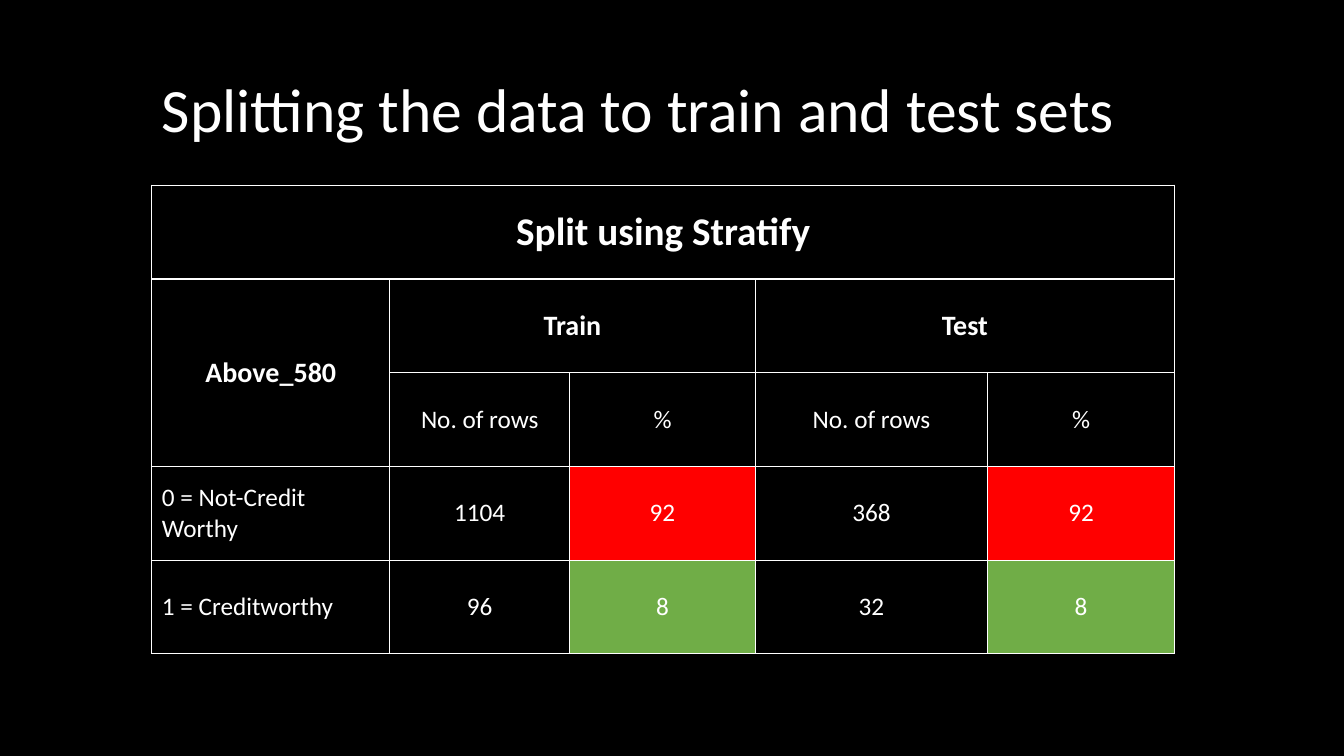
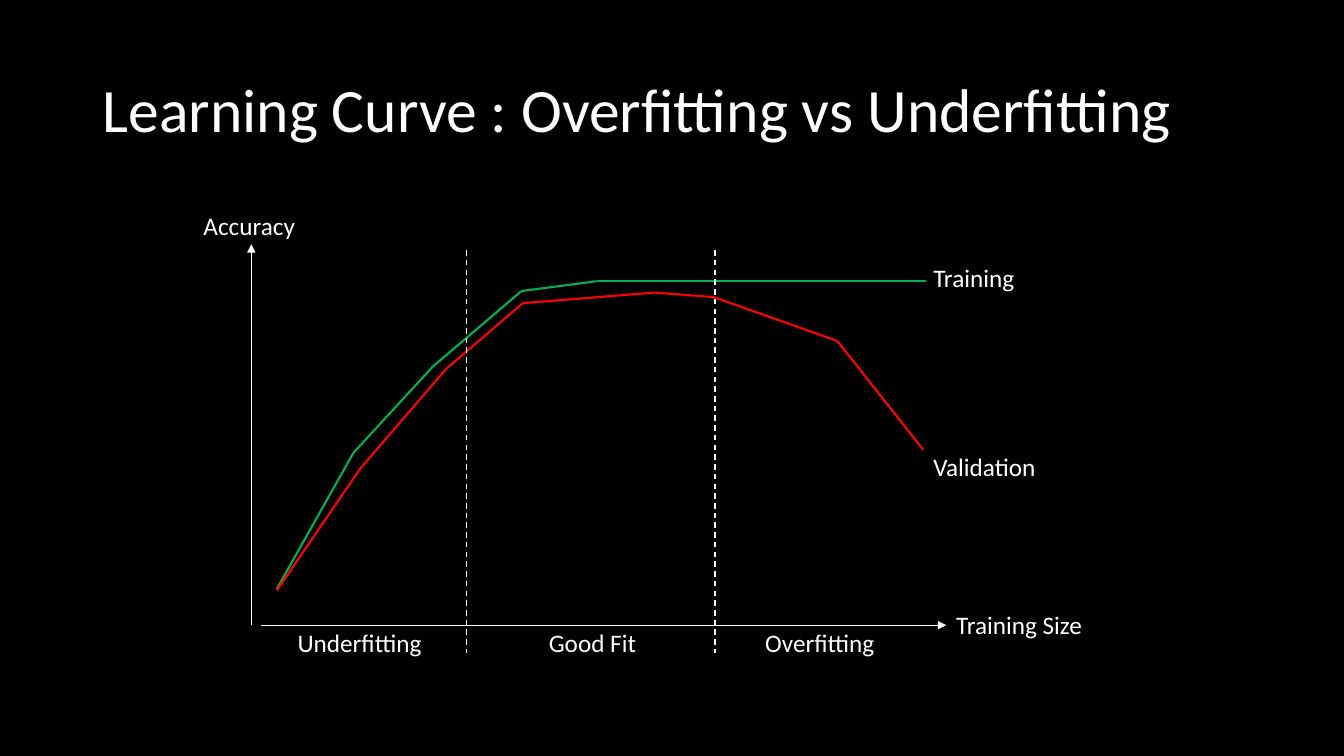
from dataclasses import dataclass
from itertools import pairwise

from lxml.etree import SubElement
from pptx import Presentation
from pptx.dml.color import RGBColor as RGB
from pptx.enum.dml import MSO_LINE
from pptx.enum.shapes import MSO_CONNECTOR
from pptx.enum.text import MSO_ANCHOR as ANCHOR, MSO_AUTO_SIZE as FIT, PP_ALIGN as ALIGN
from pptx.oxml.ns import qn
from pptx.util import Inches, Pt


@dataclass(frozen=True)
class Theme:
    font: str = "Calibri"
    back: RGB = RGB(0, 0, 0)
    ink: RGB = RGB(255, 255, 255)
    red: RGB = RGB(255, 0, 0)
    leaf: RGB = RGB(0x70, 0xAD, 0x47)
    green: RGB = RGB(0, 0xB0, 0x50)
    title: int = 44
    banner: int = 28
    group: int = 20
    body: int = 18
    thin: float = 1
    curve: float = 1.5


T = Theme()
prs = Presentation()
prs.slide_width, prs.slide_height = Inches(13.33), Inches(7.5)
COL, ROW = prs.slide_width / 100, prs.slide_height / 100

fill = prs.slide_master.background.fill
fill.solid()
fill.fore_color.rgb = T.back


def style(p, size, bold=False, align=ALIGN.LEFT):
    p.alignment = align
    p.font.name, p.font.size, p.font.bold = T.font, Pt(size), bold
    p.font.color.rgb = T.ink


def draw_line(start, end, color, width, dash=None, arrow=False):
    (x1, y1), (x2, y2) = start, end
    line = s.shapes.add_connector(MSO_CONNECTOR.STRAIGHT, int(x1 * COL), int(y1 * ROW),
                                  int(x2 * COL), int(y2 * ROW))
    line.line.color.rgb, line.line.width = color, Pt(width)
    if dash:
        line.line.dash_style = dash
    if arrow:
        SubElement(line.line._get_or_add_ln(), qn("a:tailEnd"), type="triangle")
    SubElement(line._element.spPr, qn("a:effectLst"))


slides = []
for text, left, top, width in [
    ("Splitting the data to train and test sets", 11.3, 5.2, 80.9),
    ("Learning Curve : Overfitting vs Underfitting", 6.9, 5.3, 86.3),
]:
    s = prs.slides.add_slide(prs.slide_layouts[5])
    title = s.shapes.title
    title.left, title.top = int(left * COL), int(top * ROW)
    title.width, title.height = int(width * COL), int(19.3 * ROW)
    tf = title.text_frame
    tf.text, tf.vertical_anchor = text, ANCHOR.MIDDLE
    tf.paragraphs[0].line_spacing = 0.9
    style(tf.paragraphs[0], T.title)
    slides.append(s)

s = slides[0]
rows = [
    ["Split using Stratify", "", "", "", ""],
    ["Above_580", "Train", "", "Test", ""],
    ["", "No. of rows", "%", "No. of rows", "%"],
    ["0 = Not-Credit Worthy", "1104", "92", "368", "92"],
    ["1 = Creditworthy", "96", "8", "32", "8"],
]
col_widths = [17.7, 13.4, 13.8, 17.3, 13.9]
row_height = 12.4
row_sizes = [T.banner, T.group, T.body, T.body, T.body]
percent_fills = {3: T.red, 4: T.leaf}
table = s.shapes.add_table(len(rows), len(col_widths), int(11.3 * COL), int(24.5 * ROW),
                           int(sum(col_widths) * COL), int(len(rows) * row_height * ROW)).table
table.first_row = table.horz_banding = False
for column, width in zip(table.columns, col_widths):
    column.width = int(width * COL)
for i, row in enumerate(rows):
    table.rows[i].height = int(row_height * ROW)
    for j, text in enumerate(row):
        cell = table.cell(i, j)
        tcPr = cell._tc.get_or_add_tcPr()
        for side in ("lnL", "lnR", "lnT", "lnB"):
            ln = SubElement(tcPr, qn(f"a:{side}"), w=str(Pt(T.thin)))
            SubElement(SubElement(ln, qn("a:solidFill")), qn("a:srgbClr"), val=str(T.ink))
        cell.fill.solid()
        cell.fill.fore_color.rgb = percent_fills.get(i, T.back) if j in (2, 4) else T.back
        cell.vertical_anchor = ANCHOR.MIDDLE
        cell.text = text
        style(cell.text_frame.paragraphs[0], row_sizes[i], i < 2,
              ALIGN.LEFT if i > 2 and j == 0 else ALIGN.CENTER)
for first, last in [((0, 0), (0, 4)), ((1, 0), (2, 0)), ((1, 1), (1, 2)), ((1, 3), (1, 4))]:
    table.cell(*first).merge(table.cell(*last))

s = slides[1]
axis_y = 82.7
for start, end in [((18.7, axis_y), (18.7, 32.3)), ((19.4, axis_y), (70.4, axis_y))]:
    draw_line(start, end, T.ink, T.thin, arrow=True)

training = [(20.6, 77.9), (26.3, 59.9), (32.2, 48.5), (38.8, 38.5), (44.4, 37.2), (68.9, 37.2)]
validation = [(20.6, 78.1), (26.8, 62), (33.2, 48.8), (38.9, 40.1), (48.7, 38.7),
              (53.1, 39.3), (62.3, 45.1), (68.7, 59.5)]
for points, color in [(training, T.green), (validation, T.red)]:
    for start, end in pairwise(points):
        draw_line(start, end, color, T.curve)

for x in (34.7, 53.2):
    draw_line((x, 33.1), (x, 86.4), T.ink, T.thin, dash=MSO_LINE.DASH)

zone_y = 82.3
for text, left, top, width in [
    ("Underfitting", 21.4, zone_y, 10.9),
    ("Good Fit", 40.1, zone_y, 8.1),
    ("Overfitting", 56.2, zone_y, 9.8),
    ("Accuracy", 14.4, 27.1, 8.4),
    ("Training", 68.7, 34, 7.6),
    ("Validation", 68.7, 59.1, 9.2),
    ("Training Size", 70.4, 80, 11),
]:
    label = s.shapes.add_textbox(int(left * COL), int(top * ROW), int(width * COL), int(5.3 * ROW))
    tf = label.text_frame
    tf.text, tf.word_wrap, tf.auto_size = text, False, FIT.SHAPE_TO_FIT_TEXT
    style(tf.paragraphs[0], T.body)

prs.save("out.pptx")
